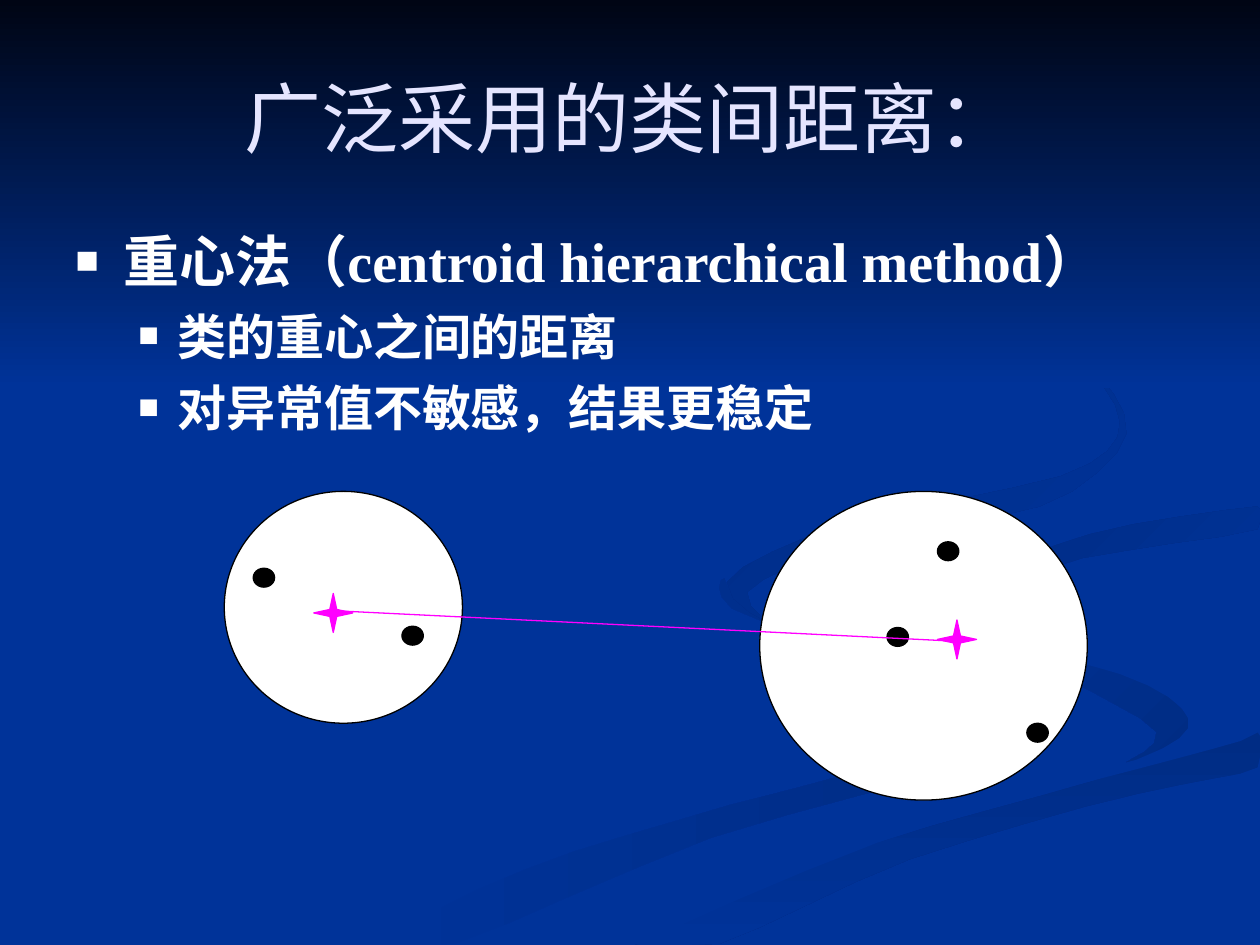
from dataclasses import dataclass

from lxml import etree
from pptx import Presentation
from pptx.dml.color import RGBColor
from pptx.enum.shapes import MSO_CONNECTOR, MSO_SHAPE
from pptx.enum.text import MSO_ANCHOR, PP_ALIGN
from pptx.oxml.ns import qn
from pptx.util import Inches, Pt

ELLIPSE, STAR, RECTANGLE = MSO_SHAPE.OVAL, MSO_SHAPE.STAR_4_POINT, MSO_SHAPE.RECTANGLE
STRAIGHT = MSO_CONNECTOR.STRAIGHT
MIDDLE, TOP = MSO_ANCHOR.MIDDLE, MSO_ANCHOR.TOP
CENTER, LEFT = PP_ALIGN.CENTER, PP_ALIGN.LEFT
COLS, ROWS = 1000, 750
CELL = Inches(0.01)


@dataclass(frozen=True)
class Theme:
    """Colours, font and type sizes of the slide."""
    font: str = "Times New Roman"
    back: str = "003399"
    night: str = "000514"
    shade: str = "002C84"
    title: str = "E5E5FF"
    text: str = "FFFFFF"
    ink: str = "000000"
    accent: str = "FF00FF"
    title_size: int = 44
    level_sizes: tuple = (32, 28)
    level_indents: tuple = ((0.38, -0.38), (0.81, -0.31))
    space_before: int = 7
    bullet_percent: int = 70
    line: float = 0.75


THEME = Theme()
RIBBONS = [
    (THEME.back, THEME.shade, 0, [
        (781, 553), (682, 519), (594, 485), (575, 459), (581, 483), (679, 519), (781, 556),
        (767, 587), (579, 639), (417, 690), (300, 749), (361, 749), (564, 665), (780, 605),
        (800, 581)]),
    (THEME.back, THEME.shade, 45, [
        (943, 570), (905, 540), (792, 509), (724, 464), (746, 500), (838, 536), (918, 581),
        (894, 605), (937, 586)]),
    (THEME.shade, THEME.back, 90, [
        (503, 749), (571, 749), (722, 682), (903, 630), (998, 609), (998, 581), (867, 620),
        (696, 669), (569, 719)]),
    (THEME.back, THEME.back, 0, [
        (725, 464), (759, 498), (889, 535), (943, 570), (902, 603), (743, 643), (573, 703),
        (477, 749), (503, 749), (696, 669), (904, 610), (999, 581), (999, 538), (848, 503),
        (781, 463), (865, 424), (999, 402), (999, 387), (808, 417)]),
    (THEME.shade, THEME.back, 45, [
        (781, 460), (791, 478), (826, 496), (805, 472), (859, 443), (998, 420), (998, 402),
        (865, 424)]),
    (THEME.shade, THEME.back, 45, [
        (683, 430), (825, 402), (894, 344), (854, 283), (762, 233), (846, 279), (889, 335),
        (842, 378), (676, 414), (577, 462), (622, 500), (593, 470)]),
]
CLUSTERS = [(178, 390, 189, 184), (603, 390, 260, 245)]
POINTS = [(201, 451), (319, 497), (815, 574), (704, 498), (744, 430)]
CENTROIDS = [(249, 471), (744, 492)]
BODY = [
    (0, "重心法（centroid hierarchical method）"),
    (1, "类的重心之间的距离"),
    (1, "对异常值不敏感，结果更稳定"),
]


def smooth(points):
    """Insert one curved midpoint in each side of a closed outline."""
    result = []
    for i, b in enumerate(points):
        a, c, d = (points[(i + k) % len(points)] for k in (-1, 1, 2))
        mid = [round((9 * (q + r) - p - t) / 16) for p, q, r, t in zip(a, b, c, d)]
        result += [b, (min(mid[0], COLS), min(mid[1], ROWS))]
    return result


class SlideBuilder:
    """Draws styled elements on one slide laid out on a fine grid."""

    def __init__(self, prs, theme):
        """Add a blank slide with the theme background."""
        self.theme = theme
        self.s = prs.slides.add_slide(prs.slide_layouts[6])
        self.s.background.fill.solid()
        self.s.background.fill.fore_color.rgb = RGBColor.from_string(theme.back)

    def shade(self, sp, start, end, angle):
        """Fill a borderless shape with one colour or a gradient."""
        sp.shadow.inherit = False
        sp.line.fill.background()
        if start == end:
            sp.fill.solid()
            sp.fill.fore_color.rgb = RGBColor.from_string(start)
            return
        sp.fill.gradient()
        sp.fill.gradient_angle = -angle % 360
        for stop, color in zip(sp.fill.gradient_stops, (start, end)):
            stop.color.rgb = RGBColor.from_string(color)

    def ribbon(self, start, end, angle, points):
        """Draw a smooth closed ribbon."""
        outline = smooth(smooth(points))
        builder = self.s.shapes.build_freeform(*outline[0], scale=CELL)
        builder.add_line_segments(outline[1:], close=True)
        self.shade(builder.convert_to_shape(), start, end, angle)

    def sky(self, height):
        """Draw the dark gradient band along the top."""
        sp = self.s.shapes.add_shape(RECTANGLE, 0, 0, CELL * COLS, CELL * height)
        self.shade(sp, self.theme.night, self.theme.back, 90)

    def shape(self, kind, box, fill, line):
        """Draw a preset shape with a thin outline."""
        sp = self.s.shapes.add_shape(kind, *(CELL * n for n in box))
        sp.shadow.inherit = False
        sp.fill.solid()
        sp.fill.fore_color.rgb = RGBColor.from_string(fill)
        sp.line.color.rgb = RGBColor.from_string(line)
        sp.line.width = Pt(self.theme.line)

    def line(self, start, end):
        """Draw a straight accent line."""
        cx = self.s.shapes.add_connector(STRAIGHT, *(CELL * n for n in start + end))
        cx.line.color.rgb = RGBColor.from_string(self.theme.accent)
        cx.line.width = Pt(self.theme.line)
        etree.SubElement(cx._element.spPr, qn("a:effectLst"))

    def frame(self, box, anchor):
        """Add a wrapping text box and return its text frame."""
        tf = self.s.shapes.add_textbox(*(CELL * n for n in box)).text_frame
        tf.word_wrap = True
        tf.vertical_anchor = anchor
        return tf

    def style(self, p, size, color, bold, align):
        """Format a paragraph and its runs."""
        p.alignment = align
        for r in p.runs:
            r.font.name = self.theme.font
            r.font.size = Pt(size)
            r.font.bold = bold
            r.font.color.rgb = RGBColor.from_string(color)

    def title(self, box, text):
        """Add the centred title."""
        tf = self.frame(box, MIDDLE)
        tf.text = text
        self.style(tf.paragraphs[0], self.theme.title_size, self.theme.title, False, CENTER)

    def bullet(self, p, level):
        """Give a paragraph a square bullet and a hanging indent."""
        margin, indent = self.theme.level_indents[level]
        pPr = p._p.get_or_add_pPr()
        pPr.set("marL", str(Inches(margin)))
        pPr.set("indent", str(Inches(indent)))
        color = etree.SubElement(pPr, qn("a:buClr"))
        etree.SubElement(color, qn("a:srgbClr"), val=self.theme.text)
        etree.SubElement(pPr, qn("a:buSzPct"), val=str(self.theme.bullet_percent * 1000))
        etree.SubElement(pPr, qn("a:buFont"), typeface=self.theme.font)
        etree.SubElement(pPr, qn("a:buChar"), char="■")

    def bullets(self, box, items):
        """Add a bulleted list of (level, text) items."""
        tf = self.frame(box, TOP)
        tf.text = "\n".join(text for _, text in items)
        for i, (p, (level, _)) in enumerate(zip(tf.paragraphs, items)):
            p.level = level
            self.bullet(p, level)
            if i:
                p.space_before = Pt(self.theme.space_before)
            self.style(p, self.theme.level_sizes[level], self.theme.text, True, LEFT)


def main():
    """Build the centroid method slide."""
    prs = Presentation()
    prs.slide_width, prs.slide_height = CELL * COLS, CELL * ROWS
    slide = SlideBuilder(prs, THEME)
    for ribbon in RIBBONS:
        slide.ribbon(*ribbon)
    slide.sky(308)
    slide.title((50, 30, 900, 125), "广泛采用的类间距离：")
    slide.bullets((50, 175, 900, 495), BODY)
    for box in CLUSTERS:
        slide.shape(ELLIPSE, box, THEME.text, THEME.ink)
    for x, y in POINTS:
        slide.shape(ELLIPSE, (x, y, 17, 15), THEME.ink, THEME.ink)
    for x, y in CENTROIDS:
        slide.shape(STAR, (x, y, 31, 31), THEME.accent, THEME.accent)
    slide.line((272, 485), (760, 509))
    prs.save("out.pptx")


if __name__ == "__main__":
    main()
